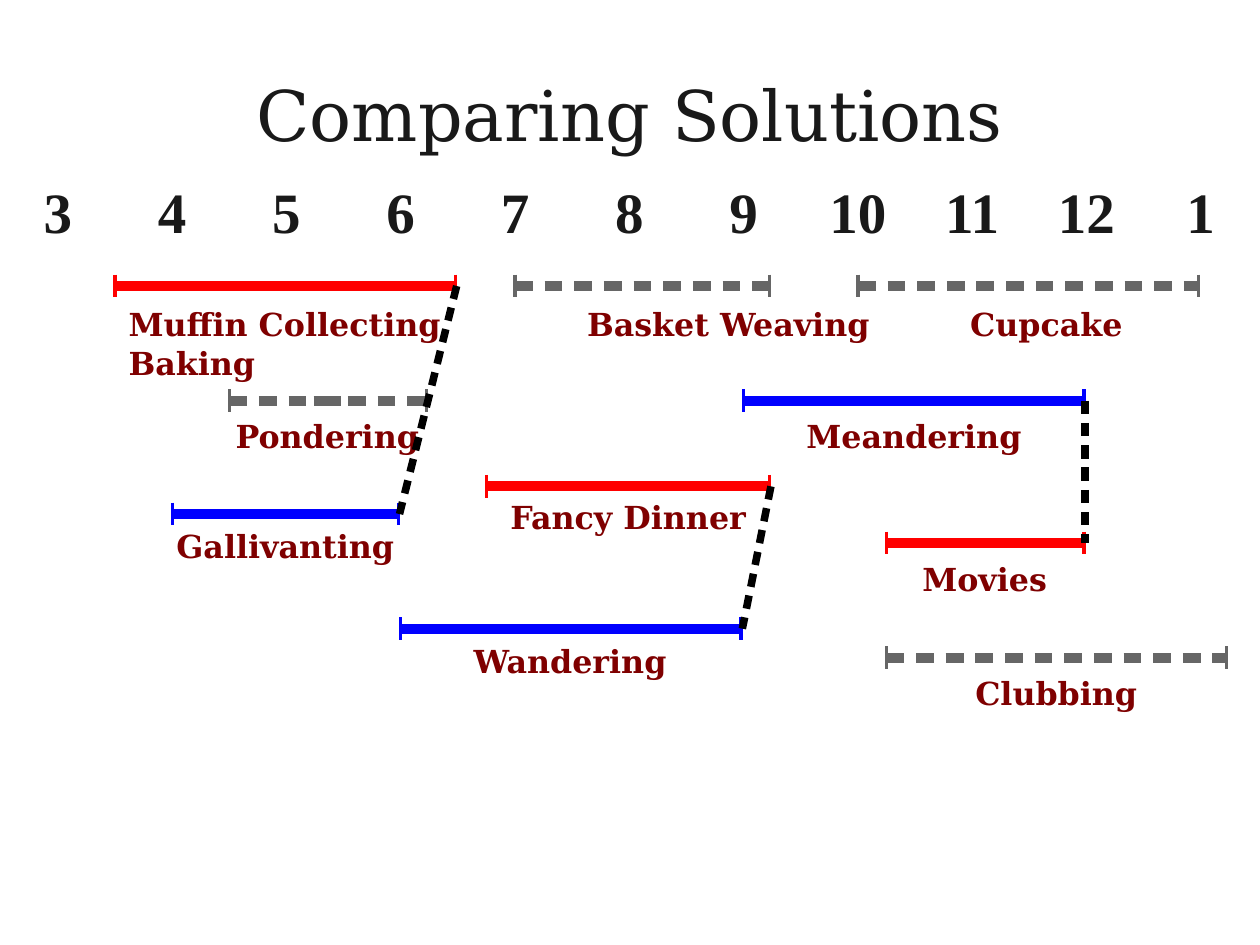
import math

import lxml.etree
import pptx
import pptx.dml.color
import pptx.enum.shapes
import pptx.enum.text
import pptx.oxml.ns
import pptx.util

Inches = pptx.util.Inches
Pt = pptx.util.Pt
ALIGN = pptx.enum.text.PP_ALIGN

COLORS = {
    "ink": "191919",
    "label": "7F0000",
    "red": "FF0000",
    "blue": "0000FF",
    "gray": "666666",
    "black": "000000",
}
SERIF = "DejaVu Serif"
TIMES = "Times New Roman"


class Chart:
    """Style and slide of a timetable whose x axis is in hours."""

    left = 0.46          # x of the first hour
    step = 9.07 / 10     # width of one hour
    first = 3
    trim = 0.02          # bars stop just short of the hour
    tick = 0.09          # half height of an end tick
    thick, thin, mid = 5.8, 1.9, 4.3

    def __init__(self, slide):
        self.slide = slide

    def x(self, hour):
        return self.left + self.step * (hour - self.first)

    def color(self, name):
        return pptx.dml.color.RGBColor.from_string(COLORS[name])

    def text(self, words, x, y, w, h, size, font, color, bold=True, align=ALIGN.LEFT):
        box = self.slide.shapes.add_textbox(Inches(x), Inches(y), Inches(w), Inches(h))
        frame = box.text_frame
        frame.word_wrap = True
        frame.margin_left = frame.margin_right = 0
        frame.margin_top = frame.margin_bottom = 0
        para = frame.paragraphs[0]
        para.text = words
        para.alignment = align
        para.font.size = Pt(size)
        para.font.name = font
        para.font.bold = bold
        para.font.color.rgb = self.color(color)

    def line(self, x1, y1, x2, y2, color, width):
        kind = pptx.enum.shapes.MSO_CONNECTOR.STRAIGHT
        line = self.slide.shapes.add_connector(
            kind, Inches(x1), Inches(y1), Inches(x2), Inches(y2))
        line.line.color.rgb = self.color(color)
        line.line.width = Pt(width)
        lxml.etree.SubElement(line._element.spPr, pptx.oxml.ns.qn("a:effectLst"))

    def dashes(self, x1, y1, x2, y2, color, width, dash, gap):
        """Row of dashes; dash and gap are in line widths."""
        size = math.hypot(x2 - x1, y2 - y1)
        dx, dy = (x2 - x1) / size, (y2 - y1) / size
        unit = width / 72
        for i in range(math.ceil(size / ((dash + gap) * unit))):
            a = i * (dash + gap) * unit
            b = min(a + dash * unit, size)
            self.line(x1 + a * dx, y1 + a * dy, x1 + b * dx, y1 + b * dy, color, width)

    def bar(self, start, end, y, color):
        x1, x2 = self.x(start), self.x(end) - self.trim
        if color == "gray":
            self.dashes(x1, y, x2, y, color, self.thick, 1.75, 1.17)
        else:
            self.line(x1, y, x2, y, color, self.thick)
        for x in (x1, x2):
            self.line(x, y - self.tick, x, y + self.tick, color, self.thin)

    def link(self, hour1, y1, hour2, y2):
        shift = self.trim / 2
        self.dashes(self.x(hour1) - shift, y1, self.x(hour2) - shift, y2,
                    "black", self.mid, 1.78, 1.18)

    def label(self, words, x, y, w):
        self.text(words, x, y, w, 0.3, 18.1, SERIF, "label")


# Start and end hour (13 is 1 o'clock), y, color
BARS = [
    (10, 13, 2.27, "gray"),
    (3.5, 6.5, 2.27, "red"),
    (4, 6, 4.08, "blue"),
    (4.5, 6.25, 3.18, "gray"),
    (6, 9, 4.99, "blue"),
    (6.75, 9.25, 3.86, "red"),
    (7, 9.25, 2.27, "gray"),
    (9, 12, 3.18, "blue"),
    (10.25, 13.25, 5.22, "gray"),
    (10.25, 12, 4.31, "red"),
]

# Words, left, top, width
LABELS = [
    ("Muffin Collecting", 1.02, 2.42, 2.65),
    ("Baking", 1.02, 2.73, 1.15),
    ("Basket Weaving", 4.66, 2.42, 2.4),
    ("Cupcake", 7.7, 2.42, 1.35),
    ("Pondering", 1.87, 3.31, 1.6),
    ("Meandering", 6.4, 3.31, 1.85),
    ("Fancy Dinner", 4.05, 3.95, 2),
    ("Gallivanting", 1.4, 4.18, 1.85),
    ("Movies", 7.32, 4.44, 1.15),
    ("Wandering", 3.76, 5.09, 1.65),
    ("Clubbing", 7.74, 5.35, 1.45),
]

# Ends of paired bars: hour and y, twice
LINKS = [
    (6.5, 2.27, 6, 4.08),
    (9.25, 3.86, 9, 4.99),
    (12, 3.18, 12, 4.31),
]


def main():
    deck = pptx.Presentation()
    deck.slide_width, deck.slide_height = Inches(10), Inches(7.5)
    chart = Chart(deck.slides.add_slide(deck.slide_layouts[6]))

    # Title
    chart.text("Comparing Solutions", 1.9, 0.57, 6.2, 0.68, 39.9, SERIF, "ink",
               bold=False, align=ALIGN.CENTER)

    # Hours on a 12-hour clock
    for hour in range(3, 14):
        chart.text(str((hour - 1) % 12 + 1), chart.x(hour) - 0.45, 1.4, 0.9, 0.5,
                   32.6, TIMES, "ink", align=ALIGN.CENTER)

    # Activities
    for bar in BARS:
        chart.bar(*bar)
    chart.line(2.49, 3.18, 2.71, 3.18, "gray", chart.thick)  # long dash in Pondering
    for label in LABELS:
        chart.label(*label)

    # Links between the two solutions
    for link in LINKS:
        chart.link(*link)

    deck.save("out.pptx")


if __name__ == "__main__":
    main()
